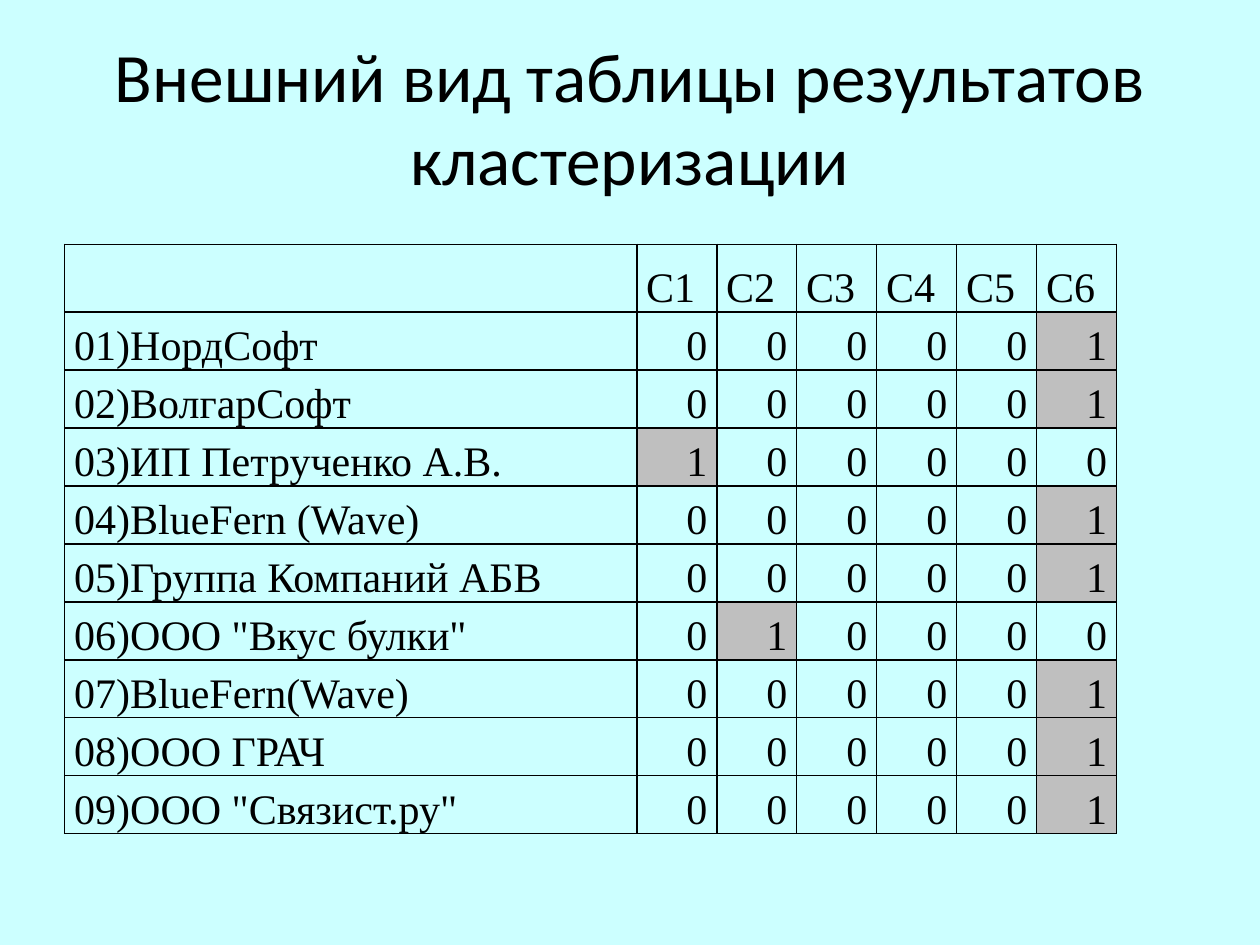
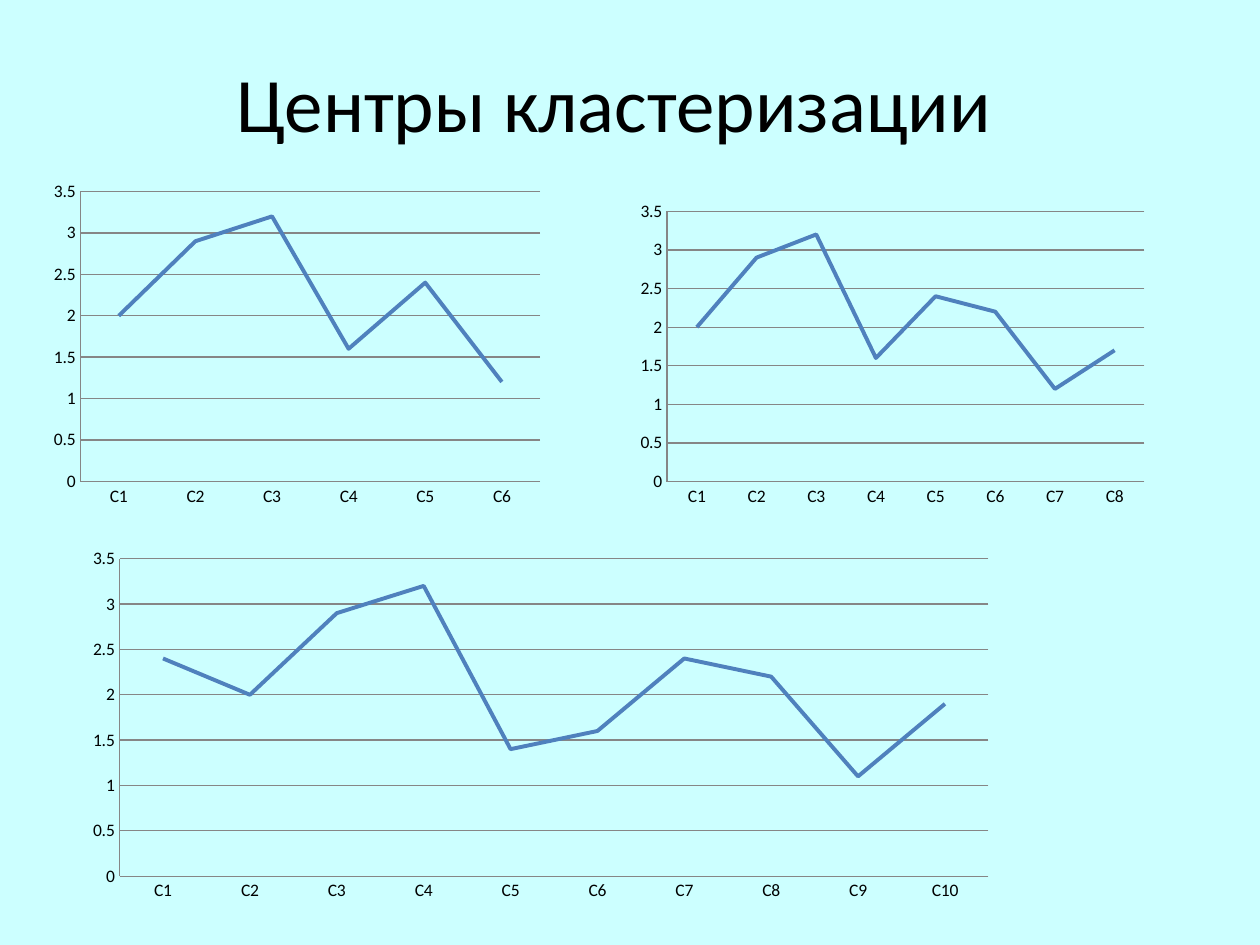
from lxml import etree
from pptx import Presentation
from pptx.chart.data import CategoryChartData
from pptx.dml.color import RGBColor
from pptx.enum import chart as charts, text
from pptx.oxml import parse_xml
from pptx.oxml.ns import nsdecls, qn
from pptx.util import Pt

# Shared look
BACKGROUND = "CCFFFF"
INK = "000000"
HIGHLIGHT = "BFBFBF"
CURVE = "4F81BD"
GRID = "868686"
HEAD_FONT = "Calibri"
TABLE_FONT = "Times New Roman"

# Results table: each company belongs to one cluster
CLUSTERS = 6
MEMBERSHIP = [
    ("01)НордСофт", 6),
    ("02)ВолгарСофт", 6),
    ("03)ИП Петрученко А.В.", 1),
    ("04)BlueFern (Wave)", 6),
    ("05)Группа Компаний АБВ", 6),
    ('06)ООО "Вкус булки"', 2),
    ("07)BlueFern(Wave)", 6),
    ("08)ООО ГРАЧ", 6),
    ('09)ООО "Связист.ру"', 6),
]

# Cluster centres: left, top, width, height in points, then values
CENTRES = [
    ((25, 100, 289.5, 193), (2, 2.9, 3.2, 1.6, 2.4, 1.2)),
    ((360, 111.5, 300, 181.5), (2, 2.9, 3.2, 1.6, 2.4, 2.2, 1.2, 1.7)),
    ((42.5, 309.5, 533, 209.5),
     (2.4, 2, 2.9, 3.2, 1.4, 1.6, 2.4, 2.2, 1.1, 1.9)),
]


def colour(value):
    return RGBColor.from_string(value)


def set_all(target, formats):
    for name, value in formats.items():
        setattr(target, name, value)


def style_font(font, face, size):
    set_all(font, {"name": face, "size": Pt(size)})
    font.color.rgb = colour(INK)


def style_line(line, value, width):
    line.color.rgb = colour(value)
    line.width = Pt(width)


def new_slide(deck):
    slide = deck.slides.add_slide(deck.slide_layouts[6])
    slide.background.fill.solid()
    slide.background.fill.fore_color.rgb = colour(BACKGROUND)
    return slide


def add_title(slide, wording, width, height, size):
    frame = slide.shapes.add_textbox(
        Pt(36), Pt(21.6), Pt(width), Pt(height)).text_frame
    set_all(frame, {"word_wrap": True,
                    "vertical_anchor": text.MSO_ANCHOR.MIDDLE})
    heading = frame.paragraphs[0]
    heading.alignment = text.PP_ALIGN.CENTER
    run = heading.add_run()
    run.text = wording
    style_font(run.font, HEAD_FONT, size)


def add_borders(cell):
    properties = cell._tc.get_or_add_tcPr()
    for side in ("a:lnL", "a:lnR", "a:lnT", "a:lnB"):
        edge = etree.SubElement(properties, qn(side), w=str(Pt(1)))
        fill = etree.SubElement(edge, qn("a:solidFill"))
        etree.SubElement(fill, qn("a:srgbClr"), val=INK)


def fill_cell(cell, wording, align, marked):
    set_all(cell, {"margin_left": Pt(5.4), "margin_right": Pt(5.4),
                   "margin_top": 0, "margin_bottom": 0,
                   "vertical_anchor": text.MSO_ANCHOR.BOTTOM})
    add_borders(cell)
    if marked:
        cell.fill.solid()
        cell.fill.fore_color.rgb = colour(HIGHLIGHT)
    else:
        cell.fill.background()
    entry = cell.text_frame.paragraphs[0]
    set_all(entry, {"alignment": align, "line_spacing": 1.15})
    style_font(entry.font, TABLE_FONT, 24)
    if wording:
        run = entry.add_run()
        run.text = wording
        style_font(run.font, TABLE_FONT, 24)


def add_results(slide):
    numbers = range(1, CLUSTERS + 1)
    rows = [["", *(f"С{n}" for n in numbers)]]
    rows += [[company, *(str(int(n == cluster)) for n in numbers)]
             for company, cluster in MEMBERSHIP]
    results = slide.shapes.add_table(
        len(rows), CLUSTERS + 1, Pt(37), Pt(139.7), Pt(601.1), Pt(328.3)).table
    set_all(results, {"first_row": False, "horz_banding": False})
    for index, column in enumerate(results.columns):
        column.width = Pt(45.7 if index else 326.9)
    for index, row in enumerate(results.rows):
        row.height = Pt(32.2 if index else 38.5)
    for r, entries in enumerate(rows):
        for c, wording in enumerate(entries):
            is_value = r > 0 and c > 0
            align = text.PP_ALIGN.RIGHT if is_value else text.PP_ALIGN.LEFT
            fill_cell(results.cell(r, c), wording, align,
                      is_value and wording == "1")


def clear_backgrounds(chart):
    blank = (f'<c:spPr {nsdecls("c", "a")}><a:noFill/>'
             '<a:ln><a:noFill/></a:ln></c:spPr>')
    space = chart._chartSpace
    space.find(qn("c:txPr")).addprevious(parse_xml(blank))
    space.chart.plotArea.append(parse_xml(blank))


def add_centres(slide, place, values):
    centres = CategoryChartData()
    centres.categories = [f"C{n}" for n in range(1, len(values) + 1)]
    centres.add_series("Series 1", values)
    chart = slide.shapes.add_chart(
        charts.XL_CHART_TYPE.LINE, *map(Pt, place), centres).chart
    set_all(chart, {"has_legend": False, "has_title": False})
    style_font(chart.font, HEAD_FONT, 10)
    clear_backgrounds(chart)

    # Axes and grid
    for axis in (chart.category_axis, chart.value_axis):
        set_all(axis, {"major_tick_mark": charts.XL_TICK_MARK.NONE,
                       "minor_tick_mark": charts.XL_TICK_MARK.NONE})
        style_line(axis.format.line, GRID, 0.75)
    set_all(chart.value_axis, {"minimum_scale": 0, "maximum_scale": 3.5,
                               "major_unit": 0.5, "has_major_gridlines": True})
    style_line(chart.value_axis.major_gridlines.format.line, GRID, 0.75)

    # Curve
    chart.plots[0].vary_by_categories = False
    curve = chart.plots[0].series[0]
    curve.smooth = False
    curve.marker.style = charts.XL_MARKER_STYLE.NONE
    style_line(curve.format.line, CURVE, 2.25)


def main():
    deck = Presentation()
    set_all(deck, {"slide_width": Pt(720), "slide_height": Pt(540)})

    # Slide 1: clustering results
    slide = new_slide(deck)
    add_title(slide, "Внешний вид таблицы результатов кластеризации",
              648, 90, 39.6)
    add_results(slide)

    # Slide 2: cluster centres
    slide = new_slide(deck)
    for place, values in CENTRES:
        add_centres(slide, place, values)
    add_title(slide, "Центры кластеризации", 630, 72.7, 44)

    deck.save("out.pptx")


main()
